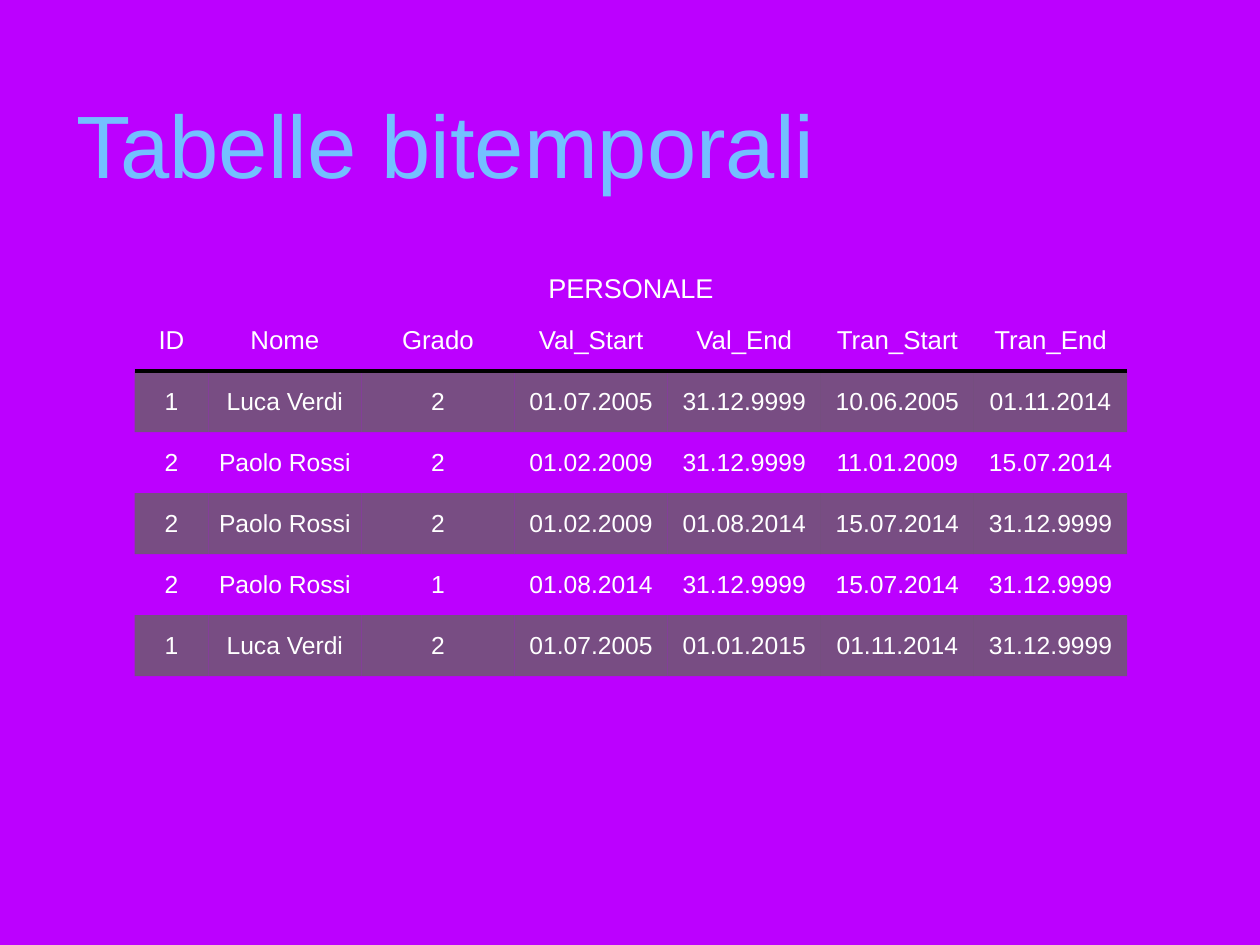
from lxml.etree import SubElement
from pptx import Presentation
from pptx.dml.color import RGBColor
from pptx.enum.text import MSO_ANCHOR as Anchor, MSO_AUTO_SIZE as AutoSize, PP_ALIGN as Align
from pptx.oxml import parse_xml
from pptx.oxml.ns import nsdecls, qn
from pptx.util import Cm, Pt

VIOLET = RGBColor(0xBC, 0x00, 0xFF)
SKY = RGBColor(0x73, 0xBF, 0xFF)
WHITE = RGBColor(0xFF, 0xFF, 0xFF)
BLACK = RGBColor(0x00, 0x00, 0x00)
GREY = RGBColor(0x67, 0x61, 0x64)

HEADINGS = ("ID", "Nome", "Grado", "Val_Start", "Val_End", "Tran_Start", "Tran_End")
RECORDS = (
    ("1", "Luca Verdi", "2", "01.07.2005", "31.12.9999", "10.06.2005", "01.11.2014"),
    ("2", "Paolo Rossi", "2", "01.02.2009", "31.12.9999", "11.01.2009", "15.07.2014"),
    ("2", "Paolo Rossi", "2", "01.02.2009", "01.08.2014", "15.07.2014", "31.12.9999"),
    ("2", "Paolo Rossi", "1", "01.08.2014", "31.12.9999", "15.07.2014", "31.12.9999"),
    ("1", "Luca Verdi", "2", "01.07.2005", "01.01.2015", "01.11.2014", "31.12.9999"),
)


def write(frame, text, size, color=WHITE, align=Align.CENTER, before=12, font="Arial"):
    paragraph = frame.paragraphs[0]
    paragraph.alignment = align
    paragraph.space_before = Pt(before)
    run = paragraph.add_run()
    run.text = text
    run.font.name = font
    run.font.size = Pt(size)
    run.font.bold = False
    run.font.color.rgb = color


class BitemporalSlide:
    heading_size = 21
    record_size = 20
    rule_width = 3

    def __init__(self, deck):
        self.slide = deck.slides.add_slide(deck.slide_layouts[5])
        background = self.slide.background.fill
        background.solid()
        background.fore_color.rgb = VIOLET

    def title(self, text, left, top, width, height):
        title = self.slide.shapes.title
        title.left, title.top, title.width, title.height = left, top, width, height
        frame = title.text_frame
        frame.word_wrap = True
        frame.auto_size = AutoSize.NONE
        frame.vertical_anchor = Anchor.MIDDLE
        frame.margin_left = frame.margin_right = frame.margin_top = frame.margin_bottom = 0
        write(frame, text, 72, SKY, Align.LEFT, before=0)

    def borders(self, cell, ruled_sides):
        properties = cell._tc.get_or_add_tcPr()
        for place, side in enumerate("LRTB"):
            if side in ruled_sides:
                width = Pt(self.rule_width)
                paint = f'<a:solidFill><a:srgbClr val="{BLACK}"/></a:solidFill>'
            else:
                width, paint = 0, "<a:noFill/>"
            border = parse_xml(f'<a:ln{side} {nsdecls("a")} w="{width}">{paint}</a:ln{side}>')
            properties.insert(place, border)

    def cell(self, cell, text, size, banded=False, ruled_sides=""):
        cell.vertical_anchor = Anchor.MIDDLE
        cell.margin_left = cell.margin_right = Cm(0.03)
        cell.margin_top = cell.margin_bottom = Cm(0.03)
        if banded:
            cell.fill.solid()
            cell.fill.fore_color.rgb = GREY
            tint = cell._tc.tcPr.find(".//" + qn("a:srgbClr"))
            SubElement(tint, qn("a:alpha"), val="80000")
        else:
            cell.fill.background()
        self.borders(cell, ruled_sides)
        if text:
            write(cell.text_frame, text, size)

    def table(self, caption, headings, records, left, top, widths, heights):
        personale = self.slide.shapes.add_table(
            len(heights), len(widths), left, top, sum(widths), sum(heights)).table
        personale.first_row = personale.horz_banding = False
        for column, width in zip(personale.columns, widths):
            column.width = width
        for row, height in zip(personale.rows, heights):
            row.height = height
        for column in range(len(widths)):
            self.cell(personale.cell(0, column), "" if column else caption, 22)
        personale.cell(0, 0).merge(personale.cell(0, len(widths) - 1))
        for column, heading in enumerate(headings):
            self.cell(personale.cell(1, column), heading, self.heading_size, ruled_sides="B")
        for index, record in enumerate(records):
            for column, value in enumerate(record):
                self.cell(personale.cell(index + 2, column), value, self.record_size,
                          banded=index % 2 == 0, ruled_sides="" if index else "T")


def main():
    deck = Presentation()
    deck.slide_width, deck.slide_height = Cm(36.12), Cm(27.1)
    page = BitemporalSlide(deck)
    page.title("Tabelle bitemporali", Cm(2.18), Cm(0.71), Cm(31.75), Cm(6.78))
    page.table("PERSONALE", HEADINGS, RECORDS, Cm(3.86), Cm(7.7),
               [Cm(2.11)] + [Cm(4.39)] * 6, [Cm(1.19)] + [Cm(1.75)] * 6)
    deck.save("out.pptx")


if __name__ == "__main__":
    main()
